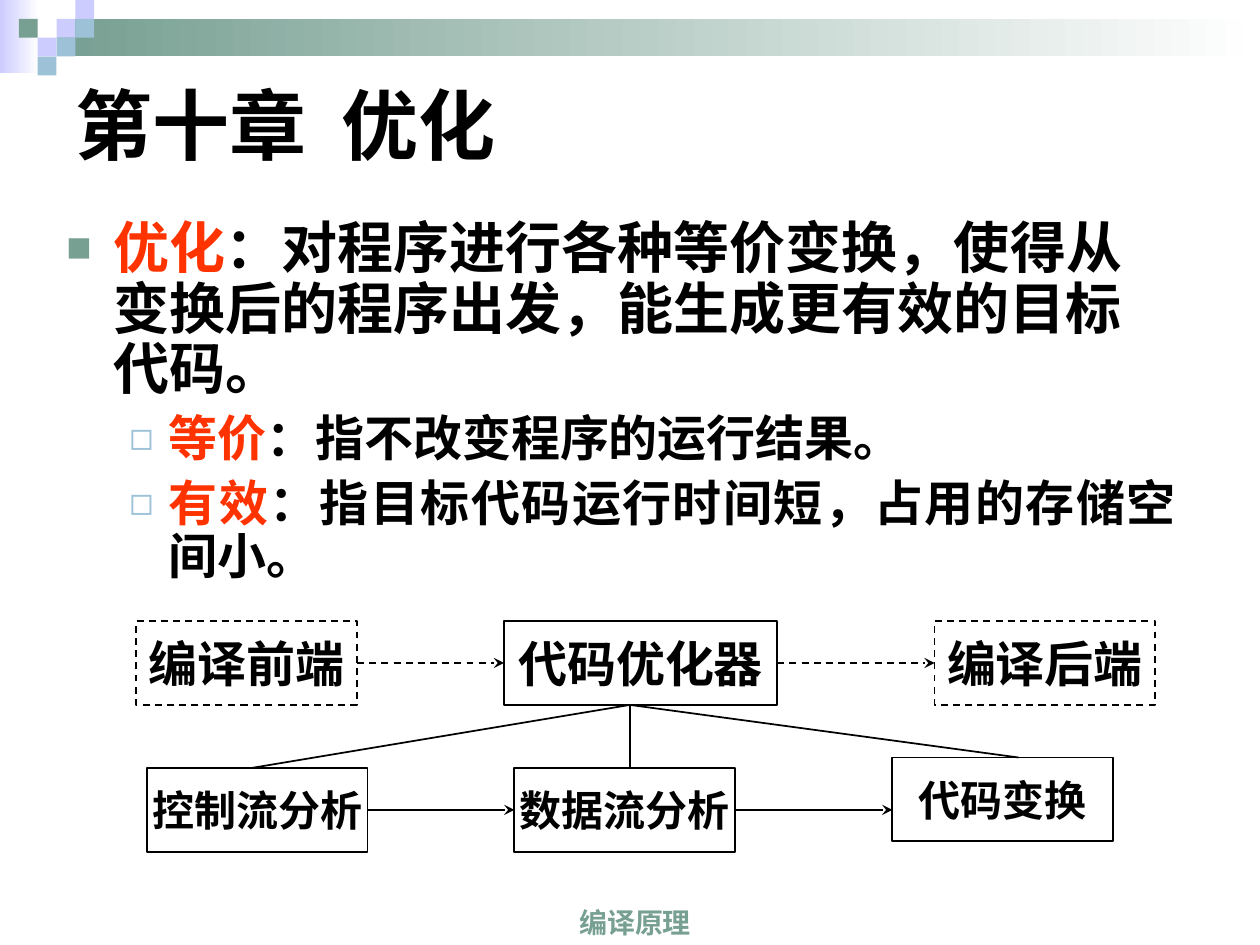
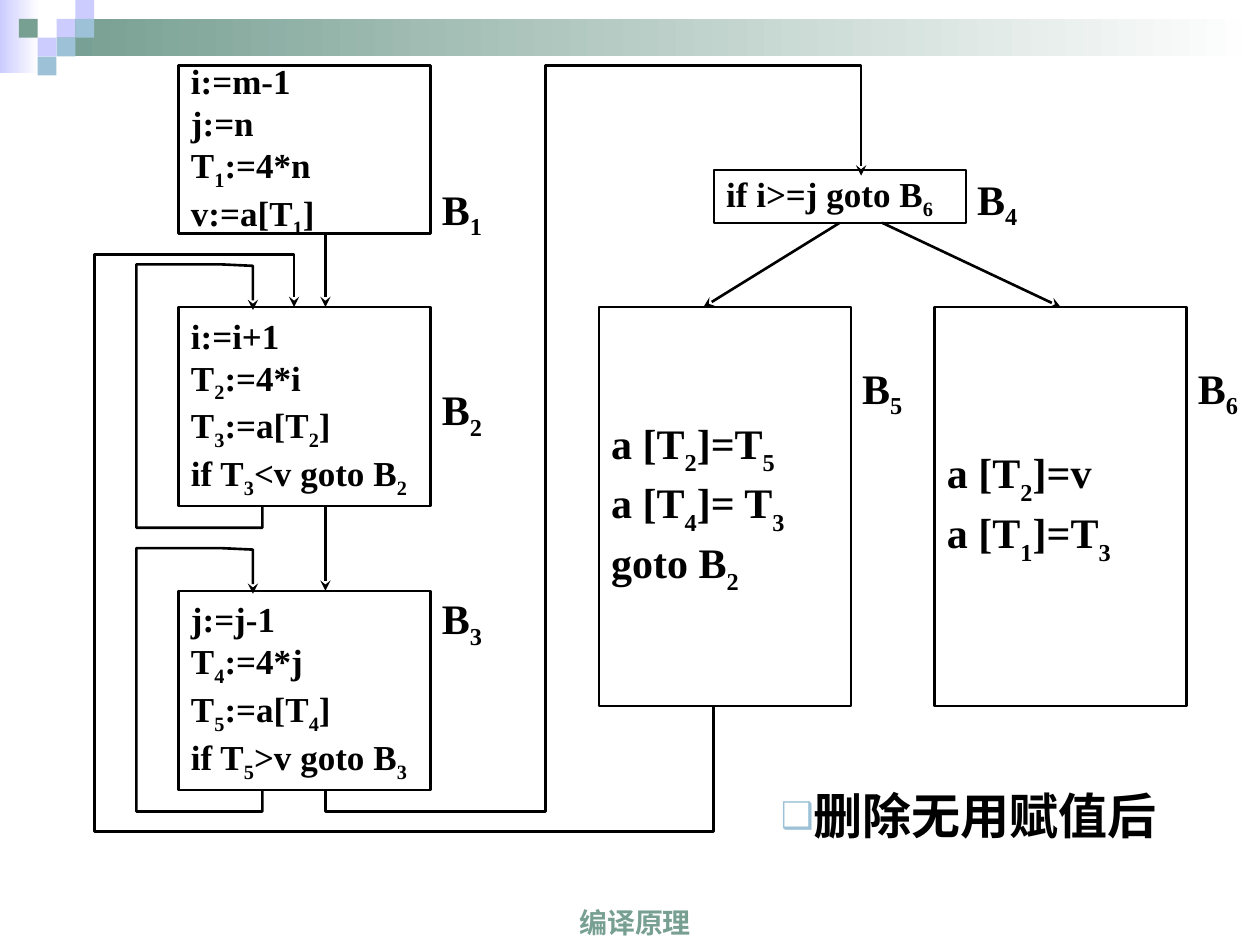
import dataclasses
import itertools

import pptx
import pptx.dml.color
import pptx.enum.dml
import pptx.enum.shapes
import pptx.enum.text
import pptx.oxml
import pptx.oxml.ns
import pptx.util

Cm = pptx.util.Cm
ALIGN = pptx.enum.text.PP_ALIGN
ANCHOR = pptx.enum.text.MSO_ANCHOR
RECTANGLE = pptx.enum.shapes.MSO_SHAPE.RECTANGLE


@dataclasses.dataclass(frozen=True)
class Theme:
    ink: str = "000000"
    accent: str = "FF3300"
    green: str = "779F92"
    lilac: str = "CCCCFF"
    blue: str = "9DC2D7"
    white: str = "FFFFFF"
    sans: str = "Arial"
    serif: str = "Times New Roman"
    chinese: str = "Noto Sans CJK SC"
    title: int = 44
    body: int = 32
    large: int = 28
    medium: int = 24
    code: int = 20
    footer: int = 16


THEME = Theme()


def rgb(value):
    return pptx.dml.color.RGBColor.from_string(value)


def add_xml(parent, tag, **attributes):
    element = pptx.oxml.parse_xml(f"<a:{tag} {pptx.oxml.ns.nsdecls('a')}/>")
    for name, value in attributes.items():
        element.set(name, str(value))
    parent.append(element)
    return element


def add_run(paragraph, text, size, font, color, baseline=0):
    run = paragraph.add_run()
    run.text = text
    run.font.size = pptx.util.Pt(size)
    run.font.bold = True
    run.font.name = font
    run.font.color.rgb = rgb(color)
    properties = run._r.get_or_add_rPr()
    add_xml(properties, "ea", typeface=THEME.chinese)
    if baseline:
        properties.set("baseline", str(baseline * 1000))


def write(paragraph, text, size=THEME.code, font=THEME.serif, color=THEME.ink,
          align=ALIGN.LEFT, bullet=None, indent=None, spacing=None, before=None,
          tab=None, subscript=-25):
    """Write one paragraph: "term|rest" stresses the term, "_x" lowers x."""
    paragraph.alignment = align
    if spacing:
        paragraph.line_spacing = spacing
    if before:
        paragraph.space_before = pptx.util.Pt(before)
    properties = paragraph._p.get_or_add_pPr()
    if indent:
        left, hanging = indent
        properties.set("marL", str(Cm(left)))
        properties.set("indent", str(-Cm(hanging)))
    if bullet:
        mark, mark_color, percent = bullet
        add_xml(add_xml(properties, "buClr"), "srgbClr", val=mark_color)
        add_xml(properties, "buSzPct", val=percent * 1000)
        add_xml(properties, "buFont", typeface=THEME.sans)
        add_xml(properties, "buChar", char=mark)
    if tab:
        add_xml(add_xml(properties, "tabLst"), "tab", pos=Cm(tab), algn="l")

    term, bar, rest = text.rpartition("|")
    if bar:
        add_run(paragraph, term, size, font, THEME.accent)
    first, *lowered = rest.split("_")
    if first:
        add_run(paragraph, first, size, font, color)
    for piece in lowered:
        add_run(paragraph, piece[0], size, font, color, subscript)
        if piece[1:]:
            add_run(paragraph, piece[1:], size, font, color)


class Deck:
    """Holds the presentation, its theme and the slide being built."""

    def __init__(self, theme):
        self.theme = theme
        self.presentation = pptx.Presentation()
        self.presentation.slide_width = Cm(25.4)
        self.presentation.slide_height = Cm(19.05)
        self.slide = None

    def new_slide(self):
        layout = self.presentation.slide_layouts[6]
        self.slide = self.presentation.slides.add_slide(layout)
        self.header()
        self.text(8.31, 17.78, 8.99, 1.27, ["编译原理"], anchor=ANCHOR.BOTTOM,
                  size=self.theme.footer, font=self.theme.sans,
                  color=self.theme.green, align=ALIGN.CENTER)

    def header(self):
        theme, unit = self.theme, 0.38
        self.rectangle(0, 0, 0.79, 1.47, (theme.lilac, theme.white))
        self.rectangle(3 * unit, unit, 24.26, 2 * unit, (theme.green, theme.white))
        squares = [(3, 1, theme.lilac), (4, 0, theme.lilac), (4, 1, theme.blue),
                   (2, 2, theme.lilac), (1, 1, theme.green), (3, 2, theme.blue),
                   (2, 3, theme.blue)]
        for column, row, color in squares:
            self.rectangle(column * unit, row * unit, unit, unit, (color,))

    def rectangle(self, left, top, width, height, colors=()):
        """Add a rectangle: no colour is hollow, two make a gradient."""
        shape = self.slide.shapes.add_shape(
            RECTANGLE, Cm(left), Cm(top), Cm(width), Cm(height))
        shape.shadow.inherit = False
        shape.line.fill.background()
        if len(colors) == 2:
            shape.fill.gradient()
            shape.fill.gradient_angle = 0
            for stop, color, position in zip(shape.fill.gradient_stops, colors, (0, 1)):
                stop.color.rgb = rgb(color)
                stop.position = position
        elif colors:
            shape.fill.solid()
            shape.fill.fore_color.rgb = rgb(colors[0])
        else:
            shape.fill.background()
        return shape

    def fill_text(self, shape, lines, anchor, wrap, **style):
        frame = shape.text_frame
        frame.word_wrap = wrap
        frame.vertical_anchor = anchor
        for number, line in enumerate(lines):
            paragraph = frame.add_paragraph() if number else frame.paragraphs[0]
            write(paragraph, line, **style)

    def text(self, left, top, width, height, lines, anchor=ANCHOR.TOP, wrap=True, **style):
        shape = self.slide.shapes.add_textbox(Cm(left), Cm(top), Cm(width), Cm(height))
        self.fill_text(shape, lines, anchor, wrap, **style)
        return shape

    def box(self, left, top, width, height, lines, weight=1, dashed=False, **style):
        shape = self.rectangle(left, top, width, height)
        self.outline(shape, weight, dashed)
        self.fill_text(shape, lines, ANCHOR.MIDDLE, False, **style)

    def outline(self, shape, weight, dashed=False, arrow=False):
        shape.line.color.rgb = rgb(self.theme.ink)
        shape.line.width = pptx.util.Pt(weight)
        if dashed:
            shape.line.dash_style = pptx.enum.dml.MSO_LINE.DASH
        if arrow:
            add_xml(shape.line._get_or_add_ln(), "tailEnd", type="stealth")

    def line(self, start, end, weight=1, dashed=False, arrow=True):
        connector = self.slide.shapes.add_connector(
            pptx.enum.shapes.MSO_CONNECTOR.STRAIGHT,
            *(Cm(value) for value in (*start, *end)))
        self.outline(connector, weight, dashed, arrow)
        add_xml(connector._element.spPr, "effectLst")

    def route(self, points, weight=1.5):
        """Draw an open bent arrow through the points."""
        start, *others = [(Cm(x), Cm(y)) for x, y in points]
        builder = self.slide.shapes.build_freeform(*start)
        builder.add_line_segments(others, close=False)
        shape = builder.convert_to_shape()
        shape.shadow.inherit = False
        shape.fill.background()
        self.outline(shape, weight, arrow=True)


def build_chapter(deck):
    theme = deck.theme
    deck.new_slide()
    deck.text(1.27, 1.27, 22.86, 2.46, ["第十章\t优化"], anchor=ANCHOR.MIDDLE,
              size=theme.title, font=theme.chinese, tab=5.36)

    # Definition and its two key terms
    body = deck.text(1.09, 4.32, 22.86, 8.41,
                     ["优化|：对程序进行各种等价变换，使得从变换后的程序出发，能生成更有效的目标代码。"],
                     size=theme.body, font=theme.chinese, spacing=0.9,
                     bullet=("■", theme.green, 75), indent=(0.95, 0.95))
    for point in ("等价|：指不改变程序的运行结果。",
                  "有效|：指目标代码运行时间短，占用的存储空间小。"):
        write(body.text_frame.add_paragraph(), point, size=theme.large,
              font=theme.chinese, align=ALIGN.JUSTIFY, spacing=0.9, before=7,
              bullet=("◻", theme.blue, 80), indent=(2.06, 0.79))

    # Compiler stages above, optimizer phases below: left, top, width, text
    height = 1.69
    stages = [(2.75, 12.52, 4.45, "编译前端"), (10.16, 12.52, 5.51, "代码优化器"),
              (18.84, 12.52, 4.45, "编译后端")]
    phases = [(2.96, 15.48, 4.45, "控制流分析"), (10.37, 15.48, 4.45, "数据流分析"),
              (17.99, 15.27, 4.45, "代码变换")]
    for row, size, dashed in ((stages, theme.large, True), (phases, theme.medium, False)):
        for left, top, width, name in row:
            deck.box(left, top, width, height, [name], size=size, align=ALIGN.CENTER,
                     dashed=dashed and name != "代码优化器")
        middle = row[0][1] + height / 2
        for before, after in itertools.pairwise(row):
            deck.line((before[0] + before[2], middle), (after[0], middle), dashed=dashed)

    # Fan from the optimizer to its phases
    for x, phase in zip((5.08, 12.7, 20.53), phases):
        deck.line((12.7, 12.52 + height), (x, phase[1]), arrow=False)


def build_flow_graph(deck):
    theme = deck.theme
    deck.new_slide()
    deck.text(15.49, 15.72, 8.79, 1.45, ["删除无用赋值后"], size=theme.large,
              bullet=("❑", theme.blue, 75))

    # Basic blocks: left, top, height, label top, type size, code
    blocks = [
        (3.6, 1.32, 3.39, 3.43, theme.code,
         ["i:=m-1", "j:=n", "T_1:=4*n", "v:=a[T_1]"]),
        (3.6, 6.19, 4.02, 7.47, theme.code,
         ["i:=i+1", "T_2:=4*i", "T_3:=a[T_2]", "if T_3<v goto B_2"]),
        (3.6, 11.91, 4.02, 11.68, theme.code,
         ["j:=j-1", "T_4:=4*j", "T_5:=a[T_4]", "if T_5>v goto B_3"]),
        (14.39, 3.43, 1.06, 3.23, theme.code, ["if i>=j goto B_6"]),
        (12.07, 6.19, 8.04, 7.04, theme.medium,
         ["a [T_2]=T_5", "a [T_4]= T_3", "goto B_2"]),
        (18.84, 6.19, 8.04, 7.04, theme.medium, ["a [T_2]=v", "a [T_1]=T_3"]),
    ]
    for number, (left, top, height, label_top, size, code) in enumerate(blocks, 1):
        deck.box(left, top, 5.08, height, code, weight=1.25, size=size,
                 subscript=-30 if size == theme.medium else -25)
        deck.text(left + 4.87, label_top, 1.69, 1.69, [f"B_{number}"], wrap=False,
                  anchor=ANCHOR.MIDDLE, size=theme.medium, align=ALIGN.CENTER)

    # Straight edges: B1 to B2, B2 to B3, B4 to B5, B4 to B6
    for start, end in [((6.56, 4.71), (6.56, 6.19)), ((6.56, 10.21), (6.56, 11.91)),
                       ((16.93, 4.49), (14.18, 6.19)), ((17.78, 4.49), (21.38, 6.19))]:
        deck.line(start, end, weight=1.5)

    # Self loops of B2 and B3
    for top in (6.19, 11.91):
        deck.route([(5.29, top + 4), (5.29, top + 4.45), (2.75, top + 4.45),
                    (2.75, top - 0.86), (4.45, top - 0.86), (5.1, top - 0.83),
                    (5.1, top + 0.06)])

    # B3 to B4, and B5 back to B2
    deck.route([(6.56, 15.91), (6.56, 16.36), (11, 16.36), (11, 1.32),
                (17.36, 1.32), (17.36, 3.54)])
    deck.route([(14.39, 14.23), (14.39, 16.76), (1.9, 16.76), (1.9, 5.13),
                (5.93, 5.13), (5.93, 6.19)])


def main():
    deck = Deck(THEME)
    build_chapter(deck)
    build_flow_graph(deck)
    deck.presentation.save("out.pptx")


if __name__ == "__main__":
    main()
